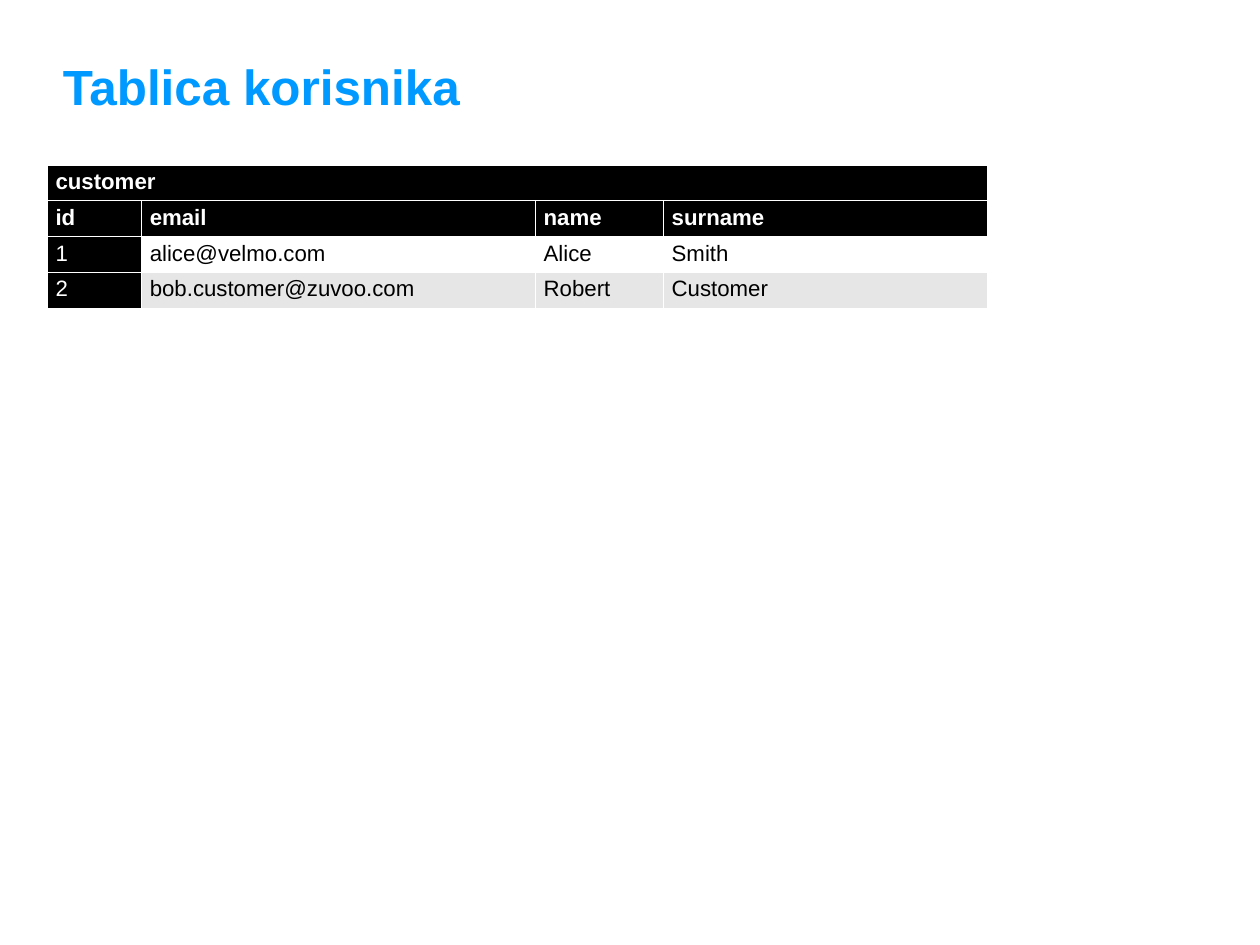
from lxml import etree
from pptx import Presentation
from pptx import util as u
from pptx.dml.color import RGBColor
from pptx.enum import text
from pptx.oxml.ns import qn

WIDTH, HEIGHT = 14.17, 10.63
COLORS = {"title": "0099FF", "dark": "000000", "light": "FFFFFF", "band": "E6E6E6"}
COLUMN_WIDTHS = [1.06, 4.43, 1.44, 3.65]
ROW_HEIGHTS = [0.38, 0.4, 0.4, 0.4]
HEADER_ROWS = 2
CUSTOMERS = [
    ["customer"],
    ["id", "email", "name", "surname"],
    ["1", "alice@velmo.com", "Alice", "Smith"],
    ["2", "bob.customer@zuvoo.com", "Robert", "Customer"],
]


def color(name):
    return RGBColor.from_string(COLORS[name])


def write(frame, words, size=18, fill="dark", bold=False):
    paragraph = frame.paragraphs[0]
    run = paragraph.add_run()
    run.text = words
    run.font.name = "Arial"
    run.font.size = u.Pt(size)
    run.font.bold = bold
    run.font.color.rgb = color(fill)


def add_title(slide, words):
    title = slide.shapes.add_textbox(
        u.Inches(0.05 * WIDTH), u.Inches(0.044 * HEIGHT),
        u.Inches(0.717 * WIDTH), u.Inches(0.093 * HEIGHT))
    frame = title.text_frame
    frame.word_wrap = True
    frame.vertical_anchor = text.MSO_ANCHOR.MIDDLE
    frame.margin_left = frame.margin_right = 0
    frame.margin_top = frame.margin_bottom = 0
    write(frame, words, size=40, fill="title", bold=True)


def add_borders(cell, sides):
    properties = cell._tc.get_or_add_tcPr()
    for position, side in enumerate(sides):
        border = etree.Element(qn(f"a:ln{side}"), w=str(u.Pt(0.06)))
        solid = etree.SubElement(border, qn("a:solidFill"))
        etree.SubElement(solid, qn("a:srgbClr"), val=COLORS["light"])
        properties.insert(position, border)


def cell_fill(row, column):
    if row < HEADER_ROWS or column == 0:
        return "dark"
    return "band" if (row - HEADER_ROWS) % 2 else "light"


def add_customer_table(slide):
    table = slide.shapes.add_table(
        len(ROW_HEIGHTS), len(COLUMN_WIDTHS),
        u.Inches(0.037 * WIDTH), u.Inches(0.175 * HEIGHT),
        u.Inches(sum(COLUMN_WIDTHS)), u.Inches(sum(ROW_HEIGHTS))).table
    for column, width in zip(table.columns, COLUMN_WIDTHS):
        column.width = u.Inches(width)
    for row, height in zip(table.rows, ROW_HEIGHTS):
        row.height = u.Inches(height)
    table.cell(0, 0).merge(table.cell(0, len(COLUMN_WIDTHS) - 1))

    for row, values in enumerate(CUSTOMERS):
        header = row < HEADER_ROWS
        for column, value in enumerate(values):
            cell = table.cell(row, column)
            background = cell_fill(row, column)
            cell.fill.solid()
            cell.fill.fore_color.rgb = color(background)
            add_borders(cell, "LR" if header else "LRB")
            write(cell.text_frame, value, bold=header,
                  fill="light" if background == "dark" else "dark")


def main():
    deck = Presentation()
    deck.slide_width, deck.slide_height = u.Inches(WIDTH), u.Inches(HEIGHT)
    slide = deck.slides.add_slide(deck.slide_layouts[6])
    add_title(slide, "Tablica korisnika")
    add_customer_table(slide)
    deck.save("out.pptx")


if __name__ == "__main__":
    main()
